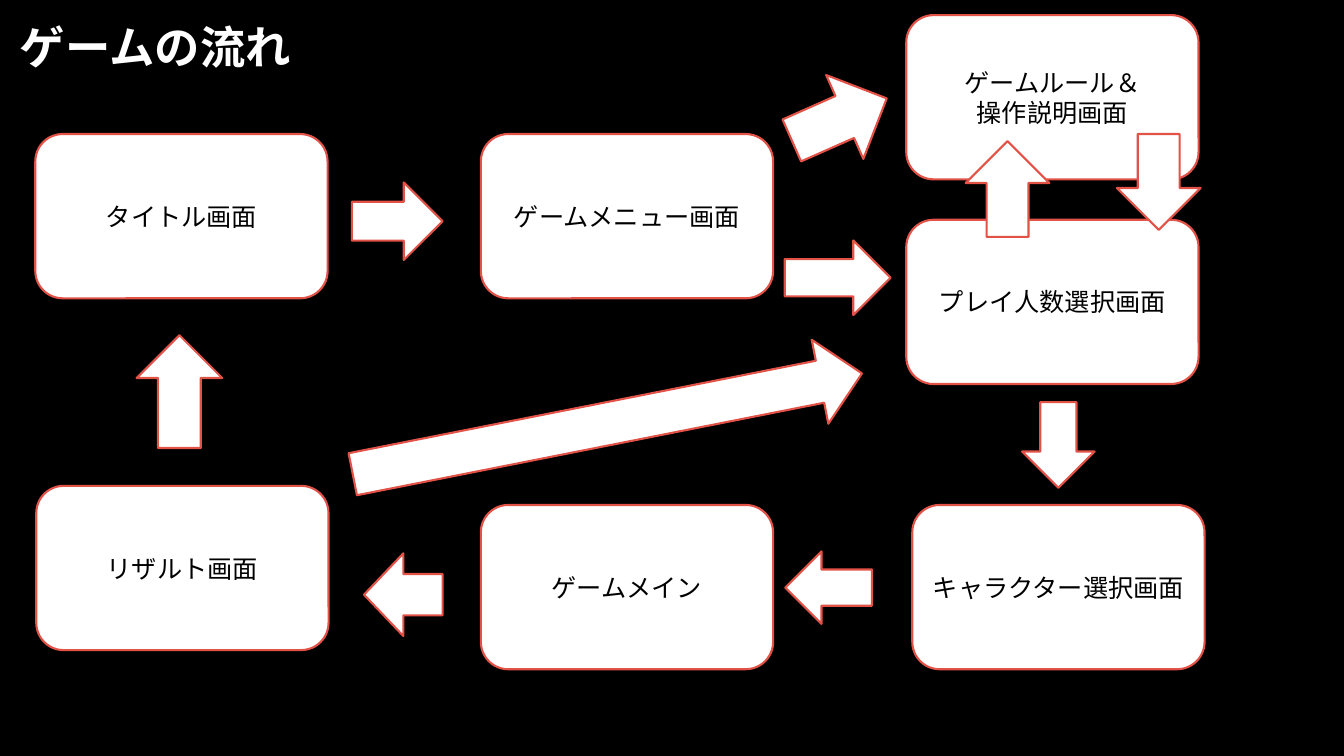
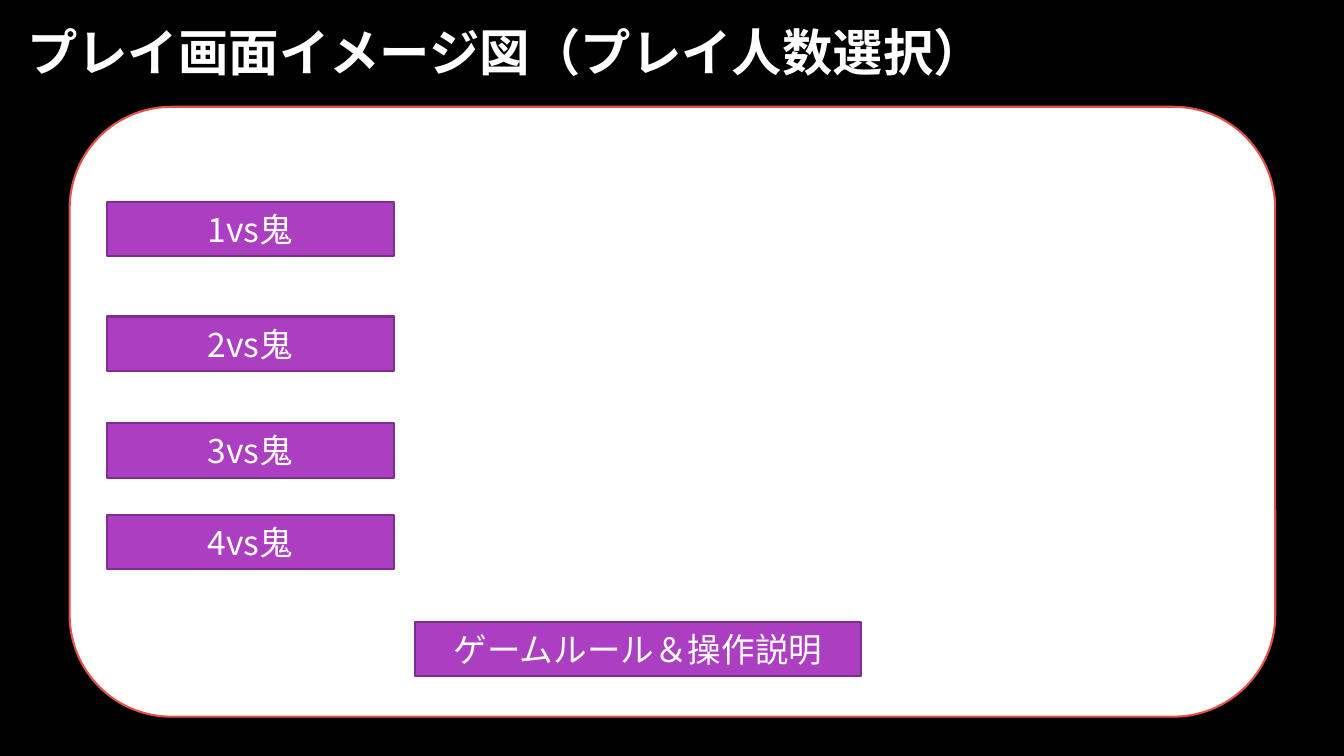
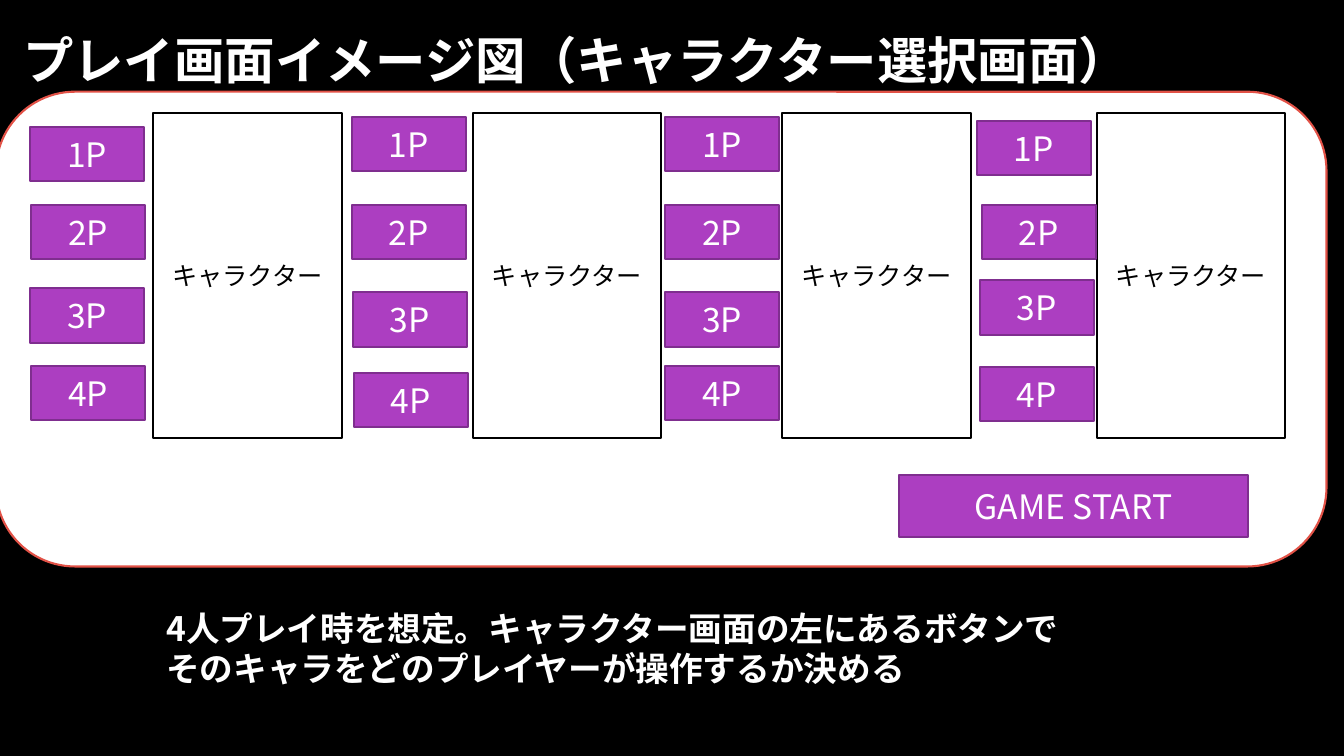
from lxml.etree import SubElement
from pptx import Presentation
from pptx.dml.color import RGBColor
from pptx.enum.shapes import MSO_SHAPE
from pptx.enum.text import MSO_ANCHOR, PP_ALIGN
from pptx.oxml.ns import qn
from pptx.util import Inches, Pt

# Shared style
COLOURS = {
    "black": "000000",
    "white": "FFFFFF",
    "red": "E25247",
    "purple": "AC3EC1",
    "dark_purple": "7F2E8F",
}
FONT = "Noto Sans CJK JP"
SLIDE_WIDTH, SLIDE_HEIGHT = Inches(13.33), Inches(7.5)

# Sizes in percent of the slide: (width, height)
SCREEN_SIZE = (21.75, 21.73)
MODE_SIZE = (21.38, 7.2)
PLAYER_SIZE = (8.48, 7.2)
CARD_SIZE = (14.03, 43.07)


def colour(name):
    return RGBColor.from_string(COLOURS[name])


def place(left, top, width, height):
    """Turn percentages of the slide into lengths."""
    return (
        round(SLIDE_WIDTH * left / 100),
        round(SLIDE_HEIGHT * top / 100),
        round(SLIDE_WIDTH * width / 100),
        round(SLIDE_HEIGHT * height / 100),
    )


def write(box, text, size, ink, bold=False, align=PP_ALIGN.LEFT, anchor=MSO_ANCHOR.MIDDLE):
    """Write one paragraph for each line of the text."""
    frame = box.text_frame
    frame.word_wrap = True
    frame.vertical_anchor = anchor
    for index, line in enumerate(text.split("\n")):
        para = frame.add_paragraph() if index else frame.paragraphs[0]
        para.alignment = align
        span = para.add_run()
        span.text = line
        span.font.size = Pt(size)
        span.font.bold = bold
        span.font.name = FONT
        span.font.color.rgb = colour(ink)
        SubElement(span.font._element, qn("a:ea"), typeface=FONT)


def add_page(deck, title, area, size=36):
    page = deck.slides.add_slide(deck.slide_layouts[6])
    page.background.fill.solid()
    page.background.fill.fore_color.rgb = colour("black")
    add_label(page, title, area, size)
    return page


def add_label(page, text, area, size, anchor=MSO_ANCHOR.MIDDLE):
    box = page.shapes.add_textbox(*place(*area))
    write(box, text, size, "white", bold=True, anchor=anchor)


def add_figure(page, kind, area, fill="white", line="red"):
    shape = page.shapes.add_shape(kind, *place(*area))
    shape.shadow.inherit = False
    shape.fill.solid()
    shape.fill.fore_color.rgb = colour(fill)
    shape.line.color.rgb = colour(line)
    shape.line.width = Pt(1.5)
    return shape


def add_screen(page, text, left, top):
    screen = add_figure(page, MSO_SHAPE.ROUNDED_RECTANGLE, (left, top, *SCREEN_SIZE))
    write(screen, text, 18, "black", align=PP_ALIGN.CENTER)


def add_arrow(page, kind, area, rotation=0):
    add_figure(page, kind, area).rotation = rotation


def add_button(page, text, area):
    button = add_figure(page, MSO_SHAPE.RECTANGLE, area, "purple", "dark_purple")
    write(button, text, 24, "white", align=PP_ALIGN.CENTER)


def add_card(page, left):
    card = add_figure(page, MSO_SHAPE.RECTANGLE, (left, 14.93, *CARD_SIZE), line="black")
    write(card, "キャラクター", 18, "black", align=PP_ALIGN.CENTER)


def build_game_flow(deck):
    page = add_page(deck, "ゲームの流れ", (0.75, 2, 25.43, 8.27), 32.4)

    # Screens
    for text, left, top in (
        ("タイトル画面", 2.63, 17.73),
        ("ゲームメニュー画面", 35.78, 17.73),
        ("ゲームルール＆\n操作説明画面", 67.43, 2),
        ("プレイ人数選択画面", 67.43, 29.07),
        ("キャラクター選択画面", 67.88, 66.8),
        ("ゲームメイン", 35.78, 66.8),
        ("リザルト画面", 2.7, 64.27),
    ):
        add_screen(page, text, left, top)

    # Block arrows between the screens
    right, down = MSO_SHAPE.RIGHT_ARROW, MSO_SHAPE.DOWN_ARROW
    for kind, area, rotation in (
        (right, (26.18, 24.13, 6.75, 10.27), 0),
        (down, (59.03, 8.93, 6.83, 13.73), 246.1),
        (down, (83.1, 17.73, 6.23, 12.67), 0),
        (down, (59.55, 29.73, 5.55, 14), 270),
        (down, (76.05, 53.2, 5.4, 11.33), 0),
        (down, (58.95, 72, 5.4, 11.47), 90),
        (down, (26.93, 73.47, 6.15, 10.4), 90),
        (right, (9.15, 46.13, 8.4, 11.33), 270),
        (right, (25.88, 50.4, 38.63, 11.33), 348.8),
        (down, (71.85, 18.67, 6.23, 12.67), 180),
    ):
        add_arrow(page, kind, area, rotation)


def build_player_count(deck):
    page = add_page(deck, "プレイ画面イメージ図（プレイ人数選択）", (1.28, 1.47, 73.95, 10.53))
    add_figure(page, MSO_SHAPE.ROUNDED_RECTANGLE, (5.18, 14.13, 89.7, 80.67))

    # Mode buttons
    for count, top in enumerate((26.67, 41.87, 56, 68.13), start=1):
        add_button(page, f"{count}vs鬼", (7.95, top, *MODE_SIZE))
    add_button(page, "ゲームルール＆操作説明", (30.9, 82.27, 33.15, 7.2))


def build_character_choice(deck):
    page = add_page(deck, "プレイ画面イメージ図（キャラクター選択画面）", (0.98, 1.33, 85.43, 12.93))
    add_figure(page, MSO_SHAPE.ROUNDED_RECTANGLE, (-0.3, 12.13, 99, 62.8))

    # Character cards
    for left in (11.4, 35.18, 58.2, 81.6):
        add_card(page, left)

    # Player buttons, one column to the left of each card
    for column in (
        ((2.25, 16.8), (2.33, 27.07), (2.25, 38.13), (2.33, 48.4)),
        ((26.18, 15.47), (26.18, 27.07), (26.25, 38.67), (26.33, 49.33)),
        ((49.5, 15.47), (49.5, 27.07), (49.5, 38.67), (49.5, 48.4)),
        ((72.68, 16), (73.05, 27.07), (72.9, 37.07), (72.9, 48.53)),
    ):
        for player, corner in enumerate(column, start=1):
            add_button(page, f"{player}P", (*corner, *PLAYER_SIZE))

    # Explanation and start button
    add_label(
        page,
        "4人プレイ時を想定。キャラクター画面の左にあるボタンで"
        "そのキャラをどのプレイヤーが操作するか決める",
        (11.63, 79.73, 69.98, 12.13),
        24,
        MSO_ANCHOR.TOP,
    )
    add_button(page, "GAME START", (66.9, 62.8, 25.95, 8.27))


def main():
    deck = Presentation()
    deck.slide_width, deck.slide_height = SLIDE_WIDTH, SLIDE_HEIGHT
    build_game_flow(deck)
    build_player_count(deck)
    build_character_choice(deck)
    deck.save("out.pptx")


if __name__ == "__main__":
    main()
